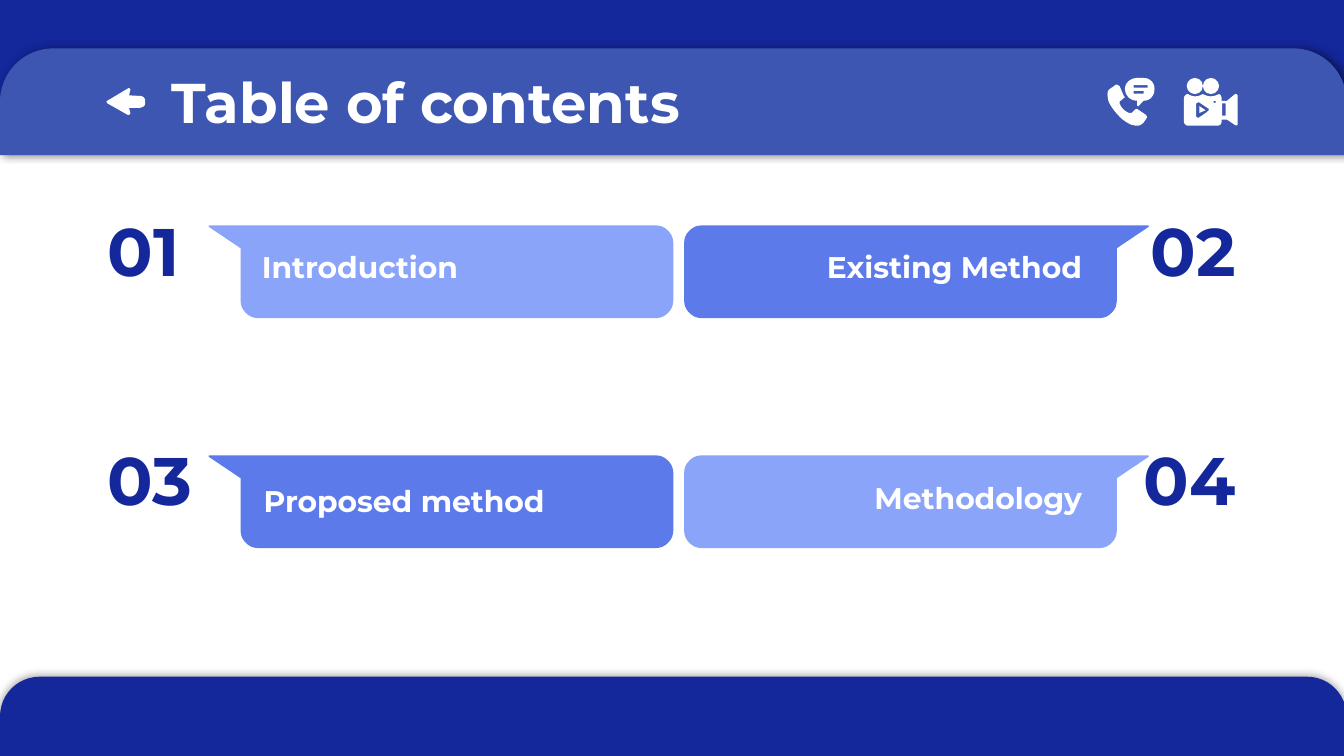
from dataclasses import dataclass

from lxml.etree import SubElement
from pptx import Presentation
from pptx.dml.color import RGBColor
from pptx.enum.shapes import MSO_SHAPE as Shape
from pptx.enum.text import MSO_ANCHOR as Anchor, PP_ALIGN as Align
from pptx.oxml.ns import qn
from pptx.util import Inches, Pt

CELL = Inches(0.1)            # the slide is a grid of 100 columns by 56.25 rows
COLS, ROWS = 100, 56.25
FINE = 100                    # outline units in one cell
CURVE_STEPS = 8
COLORS = {"navy": "14279B", "header": "3D56B2", "deep": "5C7AEA",
          "light": "8AA4F9", "white": "FFFFFF", "black": "000000"}


@dataclass(frozen=True)
class Box:
    col: float
    row: float
    cols: float
    rows: float

    def emu(self) -> list[int]:
        return [round(v * CELL) for v in (self.col, self.row, self.cols, self.rows)]


@dataclass(frozen=True)
class Shadow:
    alpha: int
    angle: int


@dataclass(frozen=True)
class Topic:
    number: str
    title: str
    color: str
    row: float
    number_row: float
    title_box: Box
    on_right: bool = False


TOPICS = [
    Topic("01", "Introduction", "light", 16.77, 15, Box(18.5, 17.54, 26.9, 4.7)),
    Topic("02", "Existing Method", "deep", 16.77, 15, Box(59.6, 17.54, 21.9, 4.7), True),
    Topic("03", "Proposed method", "deep", 33.88, 32, Box(18.63, 34.9, 31.4, 4.8)),
    Topic("04", "Methodology", "light", 33.88, 32, Box(64, 34.7, 17.5, 4.7), True),
]
BUBBLE_COL, MIRROR_WIDTH = 15.5, 101

# An outline point is (x, y) for a line, or six numbers for a Bezier curve.
BUBBLE = [(0.1, 0), (0, 0, 0, 0.1, 0.1, 0.15), (2.4, 1.7), (2.4, 5.6),
          (2.4, 6.3, 3, 6.9, 3.7, 6.9), (33.3, 6.9),
          (34, 6.9, 34.6, 6.3, 34.6, 5.6), (34.6, 1.3),
          (34.6, 0.6, 34, 0, 33.3, 0)]
BACK_ARROW = [(8, 7.5), (7.9, 7.5, 7.9, 7.6, 8, 7.7), (9.5, 8.55),
              (9.6, 8.6, 9.7, 8.5, 9.7, 8.4), (9.6, 8.03), (10.4, 8.03),
              (10.6, 8, 10.8, 7.9, 10.8, 7.7), (10.8, 7.5),
              (10.8, 7.3, 10.6, 7.15, 10.5, 7.15), (9.6, 7.1), (9.7, 6.7),
              (9.7, 6.6, 9.6, 6.5, 9.5, 6.6)]
PHONE = [(83.1, 6.3), (83, 6.3, 83, 6.3, 82.9, 6.4), (82.6, 6.6),
         (82.3, 6.8, 82.4, 7.2, 82.5, 7.6), (82.8, 8.2, 83.4, 8.9, 84, 9.2),
         (84.2, 9.3, 84.4, 9.35, 84.6, 9.35), (84.8, 9.35, 84.9, 9.3, 85.1, 9.1),
         (85.3, 8.8), (85.4, 8.7, 85.3, 8.6, 85.2, 8.5), (84.6, 8.1),
         (84.6, 8.1, 84.5, 8.1, 84.4, 8.2), (84.2, 8.4),
         (84.1, 8.4, 84, 8.4, 84, 8.4), (83.7, 8.3, 83.4, 8, 83.3, 7.7),
         (83.3, 7.6, 83.3, 7.5, 83.4, 7.5), (83.6, 7.3),
         (83.7, 7.3, 83.7, 7.2, 83.6, 7.1), (83.3, 6.4),
         (83.2, 6.4, 83.2, 6.3, 83.1, 6.3)]
CHAT = [(84.6, 5.8), (84.1, 5.8, 83.7, 6.2, 83.7, 6.6),
        (83.7, 7.1, 84.1, 7.5, 84.6, 7.5), (84.6, 7.8),
        (84.6, 7.9, 84.7, 7.9, 84.7, 7.9), (85.1, 7.5),
        (85.6, 7.5, 85.9, 7.1, 85.9, 6.6), (85.9, 6.2, 85.6, 5.8, 85.1, 5.8)]
CHAT_LINES = [[(84.35, y), (right, y), (right, y + 0.2), (84.35, y + 0.2)]
              for y, right in ((6.33, 85.4), (6.77, 85.1))]
CAMERA = [(92, 7), (91.9, 7), (91.3, 7.5), (90.9, 7.5), (90.9, 7.3),
          (90.9, 7.2, 90.8, 7, 90.7, 7), (90.2, 7.25, 89.9, 7.2, 89.5, 7),
          (89.1, 7.25, 88.7, 7.2, 88.4, 7), (88.2, 7, 88.1, 7.2, 88.1, 7.3),
          (88.1, 9), (88.1, 9.2, 88.2, 9.35, 88.4, 9.35), (90.6, 9.35),
          (90.8, 9.35, 90.9, 9.2, 90.9, 9), (90.9, 8.9), (91.3, 8.9),
          (91.9, 9.3), (92, 9.35, 92.1, 9.35, 92.1, 9.2), (92.1, 7.1)]
CAMERA_HOLES = [[(91.2, 7.7), (91.2, 8.6), (90.95, 8.6), (90.95, 7.7)],
                [(89.2, 7.6), (89.95, 8.1), (90, 8.2, 89.9, 8.3, 89.2, 8.75),
                 (89.1, 8.8, 89, 8.7, 89, 8.6), (89, 7.7)],
                [(90.3, 7.5), (90.45, 7.5), (90.45, 7.65), (90.3, 7.65)]]
PLAY = [(89.25, 7.9), (89.25, 8.4), (89.7, 8.2)]


def rgb(name: str) -> RGBColor:
    return RGBColor.from_string(COLORS[name])


def paint(sp, color: str):
    sp.shadow.inherit = False
    sp.fill.solid()
    sp.fill.fore_color.rgb = rgb(color)
    sp.line.fill.background()
    return sp


def add_panel(shapes, kind: Shape, box: Box, color: str, shadow: Shadow | None = None) -> None:
    sp = paint(shapes.add_shape(kind, *box.emu()), color)
    if kind == Shape.ROUND_2_SAME_RECTANGLE:
        sp.adjustments[0] = 0.5
    if shadow:
        effects = sp._element.spPr.find(qn("a:effectLst"))
        outer = SubElement(effects, qn("a:outerShdw"), blurRad=str(Pt(4.5)),
                           dist=str(Pt(1.5)), dir=str(shadow.angle * 60000),
                           algn="bl", rotWithShape="0")
        clr = SubElement(outer, qn("a:srgbClr"), val=COLORS["black"])
        SubElement(clr, qn("a:alpha"), val=str(shadow.alpha * 1000))


def flatten(outline: list[tuple]) -> list[tuple[float, float]]:
    """Turn the curves of an outline into short lines."""
    points = [outline[0]]
    for step in outline[1:]:
        if len(step) == 2:
            points.append(step)
            continue
        ctrl = [points[-1], step[:2], step[2:4], step[4:]]
        for i in range(1, CURVE_STEPS + 1):
            t = i / CURVE_STEPS
            weights = ((1 - t) ** 3, 3 * t * (1 - t) ** 2, 3 * t * t * (1 - t), t ** 3)
            points.append(tuple(sum(w * c[axis] for w, c in zip(weights, ctrl))
                                for axis in (0, 1)))
    return points


def add_outline(shapes, color: str, *outlines: list[tuple]) -> None:
    """Draw one shape; outlines after the first are holes in it."""
    contours = [[(x * FINE, y * FINE) for x, y in flatten(o)] for o in outlines]
    builder = shapes.build_freeform(*contours[0][0], scale=CELL / FINE)
    builder.add_line_segments(contours[0][1:], close=True)
    for contour in contours[1:]:
        builder.move_to(*contour[0])
        builder.add_line_segments(contour[1:], close=True)
    paint(builder.convert_to_shape(), color)


def add_text(shapes, text: str, box: Box, size: int, color: str,
             align: Align = Align.LEFT, anchor: Anchor = Anchor.TOP) -> None:
    tf = shapes.add_textbox(*box.emu()).text_frame
    frame_format = {"word_wrap": True, "vertical_anchor": anchor}
    frame_format |= {f"margin_{side}": CELL for side in ("left", "top", "right", "bottom")}
    for name, value in frame_format.items():
        setattr(tf, name, value)
    p = tf.paragraphs[0]
    p.alignment = align
    r = p.add_run()
    r.text = text
    for name, value in {"name": "Montserrat", "size": Pt(size), "bold": True}.items():
        setattr(r.font, name, value)
    r.font.color.rgb = rgb(color)


def add_topic(shapes, topic: Topic) -> None:
    bubble = []
    for step in BUBBLE:
        xs = [x + BUBBLE_COL for x in step[::2]]
        if topic.on_right:
            xs = [MIRROR_WIDTH - x for x in xs]
        bubble.append(tuple(v for x, y in zip(xs, step[1::2]) for v in (x, y + topic.row)))
    add_outline(shapes, topic.color, bubble)
    align = Align.RIGHT if topic.on_right else Align.LEFT
    add_text(shapes, topic.title, topic.title_box, 16, "white", align)
    number_box = Box(79.53 if topic.on_right else 7.04, topic.number_row, 13.4, 7.6)
    add_text(shapes, topic.number, number_box, 36, "navy", align, Anchor.BOTTOM)


def main() -> None:
    prs = Presentation()
    prs.slide_width, prs.slide_height = round(COLS * CELL), round(ROWS * CELL)
    shapes = prs.slides.add_slide(prs.slide_layouts[6]).shapes

    rounded = Shape.ROUND_2_SAME_RECTANGLE
    add_panel(shapes, rounded, Box(0, 50.35, 100.2, 5.9), "navy", Shadow(32, 237))
    add_panel(shapes, Shape.RECTANGLE, Box(0, -0.1, 100.2, 10.2), "navy")
    add_panel(shapes, rounded, Box(0, 3.6, 100.2, 7.94), "header", Shadow(50, 0))
    add_text(shapes, "Table of contents", Box(11.8, 4, 80.3, 6.3), 30, "white")

    for topic in TOPICS:
        add_topic(shapes, topic)

    for icon in ([BACK_ARROW], [PHONE], [CHAT, *CHAT_LINES], [CAMERA, *CAMERA_HOLES], [PLAY]):
        add_outline(shapes, "white", *icon)
    for reel_col in (88.3, 89.5):
        add_panel(shapes, Shape.OVAL, Box(reel_col, 5.8, 1.2, 1.2), "white")

    prs.save("out.pptx")


if __name__ == "__main__":
    main()
